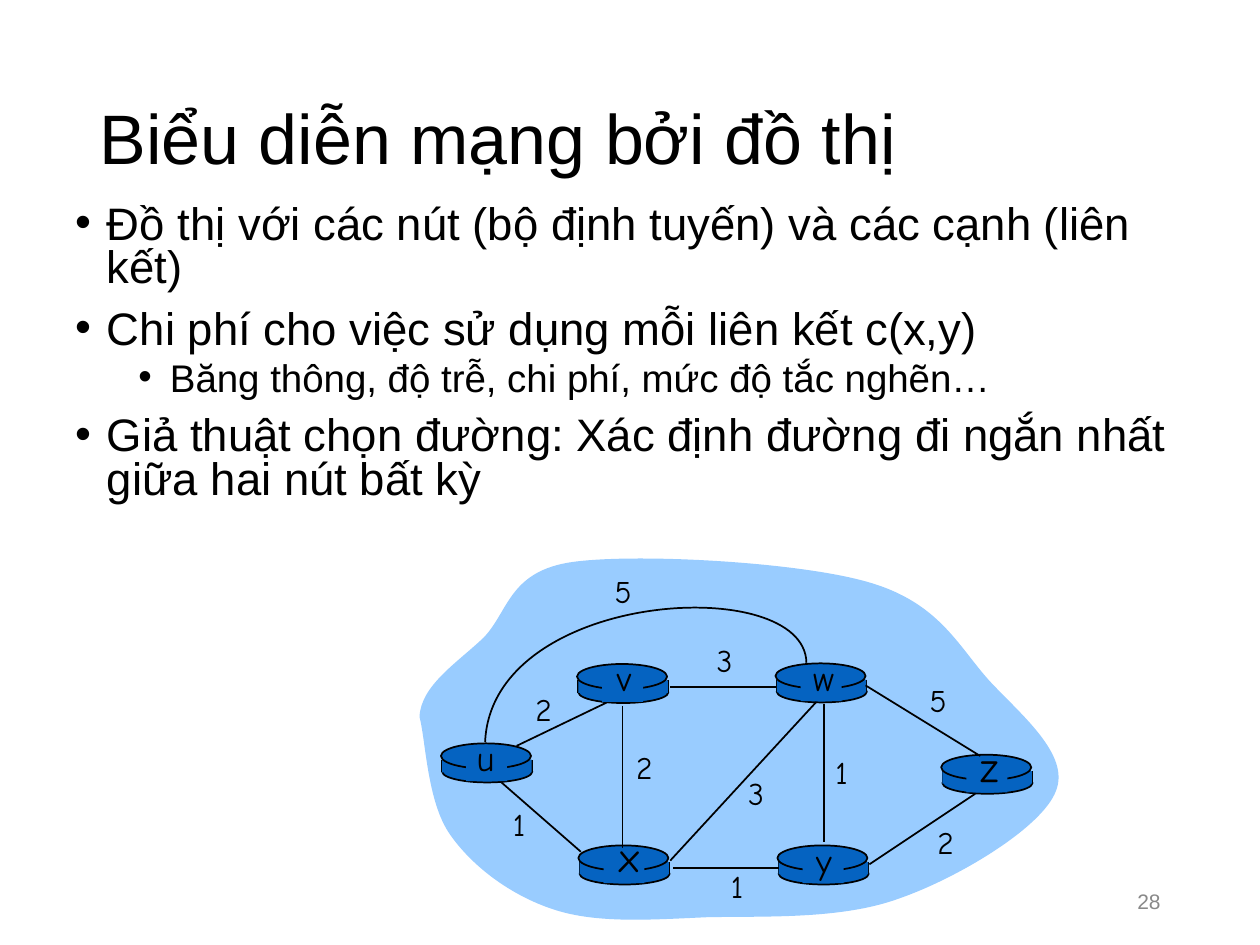
import dataclasses
import typing

import lxml.etree
import pptx
import pptx.dml.color
import pptx.enum.shapes
import pptx.enum.text
import pptx.oxml.ns
import pptx.util

COLUMNS, ROWS = 100, 75
BLACK, ROUTER_BLUE, CLOUD_BLUE, GREY = "000000", "0563C1", "99CCFF", "898989"
BODY_FONT, GRAPH_FONT = "Arial", "Comic Neue"
LABEL_ROWS = {18: 4.0, 20: 4.4, 24: 5.0}
SHAPES = pptx.enum.shapes.MSO_SHAPE
ALIGN = pptx.enum.text.PP_ALIGN
ANCHOR = pptx.enum.text.MSO_ANCHOR
Point = tuple[float, float]


@dataclasses.dataclass(frozen=True)
class Bullet:
    text: str
    level: int = 0


@dataclasses.dataclass(frozen=True)
class Router:
    name: str
    column: float
    row: float
    name_centre: Point
    size: int = 20


@dataclasses.dataclass(frozen=True)
class Link:
    start: Point
    end: Point
    cost: str
    cost_centre: Point


BULLETS = [
    Bullet("Đồ thị với các nút (bộ định tuyến) và các cạnh (liên kết)"),
    Bullet("Chi phí cho việc sử dụng mỗi liên kết c(x,y)"),
    Bullet("Băng thông, độ trễ, chi phí, mức độ tắc nghẽn…", level=1),
    Bullet("Giả thuật chọn đường: Xác định đường đi ngắn nhất giữa hai nút bất kỳ"),
]
ROUTERS = [
    Router("u", 35.0, 59.0, (38.5, 60.2)),
    Router("x", 45.9, 67.1, (49.8, 67.9), size=24),
    Router("v", 45.8, 52.7, (49.55, 53.8)),
    Router("w", 61.55, 52.65, (65.2, 53.8)),
    Router("y", 61.7, 67.1, (65.4, 68.3)),
    Router("z", 74.7, 59.9, (78.5, 60.8), size=24),
]
LINKS = [
    Link((41.0, 59.2), (48.9, 55.4), "2", (43.15, 56.3)),
    Link((65.4, 55.9), (65.4, 66.8), "1", (66.8, 61.3)),
    Link((49.4, 56.0), (49.4, 67.3), "2", (51.15, 60.9)),
    Link((53.2, 68.3), (64.8, 55.7), "3", (60.0, 62.9)),
    Link((69.0, 68.6), (77.4, 63.0), "2", (75.05, 66.8)),
    Link((61.8, 68.9), (53.4, 68.9), "1", (58.5, 70.3)),
    Link((46.1, 67.6), (39.8, 62.1), "1", (41.2, 65.4)),
    Link((61.6, 54.5), (53.2, 54.5), "3", (57.5, 52.4)),
    Link((77.8, 60.0), (68.7, 54.4), "5", (74.45, 55.6)),
]
CLOUD = [
    (33.3, 56.9), (33.4, 54.4), (36.3, 52.6), (38.4, 50.6),
    (40.4, 48.5), (40.4, 45.3), (45.5, 44.6), (50.6, 43.9),
    (63.4, 44.6), (68.9, 46.2), (74.5, 47.8), (76.0, 51.2),
    (78.5, 54.0), (81.0, 56.7), (85.0, 59.9), (83.8, 62.8),
    (82.7, 65.7), (76.0, 69.7), (71.4, 71.3), (66.8, 73.0),
    (60.7, 72.7), (56.1, 72.8), (51.6, 73.0), (47.4, 73.3),
    (44.0, 72.2), (40.6, 71.1), (37.5, 68.8), (35.7, 66.2),
    (33.9, 63.6), (33.8, 58.8), (33.3, 56.9),
]
OUTER_LINK = [(64.0, 52.6), (63.9, 45.4), (39.0, 46.8), (38.5, 58.9)]

deck = pptx.Presentation()
deck.slide_width, deck.slide_height = pptx.util.Inches(10), pptx.util.Inches(7.5)
slide = deck.slides.add_slide(deck.slide_layouts[5])


def across(columns: float) -> int:
    return round(deck.slide_width * columns / COLUMNS)


def down(rows: float) -> int:
    return round(deck.slide_height * rows / ROWS)


def area(column: float, row: float, width: float, height: float) -> tuple[int, ...]:
    return across(column), down(row), across(width), down(height)


def colour(value: str) -> pptx.dml.color.RGBColor:
    return pptx.dml.color.RGBColor.from_string(value)


def write(paragraph, text: str, *, size: float, font: str = BODY_FONT,
          hue: str = BLACK, align=ALIGN.LEFT, spacing: float = 1.0,
          before: float = 0) -> None:
    paragraph.alignment = align
    paragraph.line_spacing = spacing
    paragraph.space_before = pptx.util.Pt(before)
    run = paragraph.add_run()
    run.text = text
    run.font.size, run.font.name = pptx.util.Pt(size), font
    run.font.color.rgb = colour(hue)


def paint(shape, fill: typing.Optional[str], line: typing.Optional[str]) -> None:
    shape.shadow.inherit = False
    if fill:
        shape.fill.solid()
        shape.fill.fore_color.rgb = colour(fill)
    else:
        shape.fill.background()
    if line:
        shape.line.color.rgb = colour(line)
        shape.line.width = pptx.util.Pt(1)
    else:
        shape.line.fill.background()


def draw_shape(kind, column: float, row: float, width: float, height: float,
               line: typing.Optional[str] = None) -> None:
    paint(slide.shapes.add_shape(kind, *area(column, row, width, height)),
          ROUTER_BLUE, line)


def draw_line(start: Point, end: Point) -> None:
    line = slide.shapes.add_connector(
        pptx.enum.shapes.MSO_CONNECTOR.STRAIGHT,
        across(start[0]), down(start[1]), across(end[0]), down(end[1]))
    line.line.color.rgb = colour(BLACK)
    line.line.width = pptx.util.Pt(1)
    lxml.etree.SubElement(line._element.spPr, pptx.oxml.ns.qn("a:effectLst"))


def draw_curve(controls: list[Point], fill: typing.Optional[str] = None,
               line: typing.Optional[str] = None) -> None:
    points = [(across(column), down(row)) for column, row in controls]
    outline = slide.shapes.build_freeform(*points[0])
    outline.add_line_segments(points[1:], close=fill is not None)
    curve = outline.convert_to_shape()
    segments = list(curve._element.iter(pptx.oxml.ns.qn("a:lnTo")))
    for first in range(0, len(points) - 1, 3):
        bend = lxml.etree.Element(pptx.oxml.ns.qn("a:cubicBezTo"))
        segments[first].addprevious(bend)
        for segment in segments[first:first + 3]:
            bend.append(segment[0])
            segment.getparent().remove(segment)
    paint(curve, fill, line)


def draw_label(text: str, centre: Point, size: int) -> None:
    width, height = 3.3, LABEL_ROWS[size]
    label = slide.shapes.add_textbox(
        *area(centre[0] - width / 2, centre[1] - height / 2, width, height))
    label.text_frame.word_wrap = False
    label.text_frame.auto_size = pptx.enum.text.MSO_AUTO_SIZE.SHAPE_TO_FIT_TEXT
    write(label.text_frame.paragraphs[0], text, size=size, font=GRAPH_FONT,
          align=ALIGN.CENTER)


def draw_router(router: Router) -> None:
    left, top = router.column + 0.1, router.row
    draw_shape(SHAPES.OVAL, left, top + 1.4, 7.15, 1.7, BLACK)
    for side in (left, left + 7.1):
        draw_line((side, top + 1.3), (side, top + 2.3))
    draw_shape(SHAPES.RECTANGLE, left, top + 1.3, 7.1, 1.0)
    draw_shape(SHAPES.OVAL, router.column, top, 7.15, 2.0, BLACK)


def name_router(router: Router) -> None:
    draw_shape(SHAPES.RECTANGLE, router.column + 2.0, router.row + 0.2, 3.25, 2.8)
    draw_label(router.name, router.name_centre, router.size)


def add_bullet(paragraph, bullet: Bullet) -> None:
    properties = paragraph._p.get_or_add_pPr()
    properties.set("marL", str(across(2.5 + 5 * bullet.level)))
    properties.set("indent", str(-across(2.5)))
    bullet_colour = lxml.etree.SubElement(properties, pptx.oxml.ns.qn("a:buClr"))
    lxml.etree.SubElement(bullet_colour, pptx.oxml.ns.qn("a:srgbClr"), val=BLACK)
    lxml.etree.SubElement(properties, pptx.oxml.ns.qn("a:buFont"), typeface=BODY_FONT)
    lxml.etree.SubElement(properties, pptx.oxml.ns.qn("a:buChar"), char="•")


def main() -> None:
    title = slide.shapes.title
    title.left, title.top, title.width, title.height = area(6.9, 4.0, 86.3, 14.5)
    title.text_frame.vertical_anchor = ANCHOR.MIDDLE
    write(title.text_frame.paragraphs[0], "Biểu diễn mạng bởi đồ thị",
          size=40, spacing=0.9)

    body = slide.shapes.add_textbox(*area(5.0, 15.8, 92.5, 27.1)).text_frame
    body.word_wrap = True
    for index, bullet in enumerate(BULLETS):
        paragraph = body.add_paragraph() if index else body.paragraphs[0]
        paragraph.level = bullet.level
        add_bullet(paragraph, bullet)
        before = (5 if bullet.level else 10) if index else 0
        write(paragraph, bullet.text, size=22 if bullet.level else 26,
              spacing=0.8, before=before)

    page = slide.shapes.add_textbox(*area(70.6, 69.5, 22.5, 4.0)).text_frame
    page.word_wrap = True
    page.vertical_anchor = ANCHOR.MIDDLE
    write(page.paragraphs[0], "28", size=12, hue=GREY, align=ALIGN.RIGHT)

    draw_curve(CLOUD, fill=CLOUD_BLUE)
    for router in ROUTERS:
        draw_router(router)
    for link in LINKS:
        draw_line(link.start, link.end)
    draw_curve(OUTER_LINK, line=BLACK)
    for router in ROUTERS:
        name_router(router)
    for link in LINKS:
        draw_label(link.cost, link.cost_centre, 18)
    draw_label("5", (49.45, 46.9), 18)

    deck.save("out.pptx")


if __name__ == "__main__":
    main()
